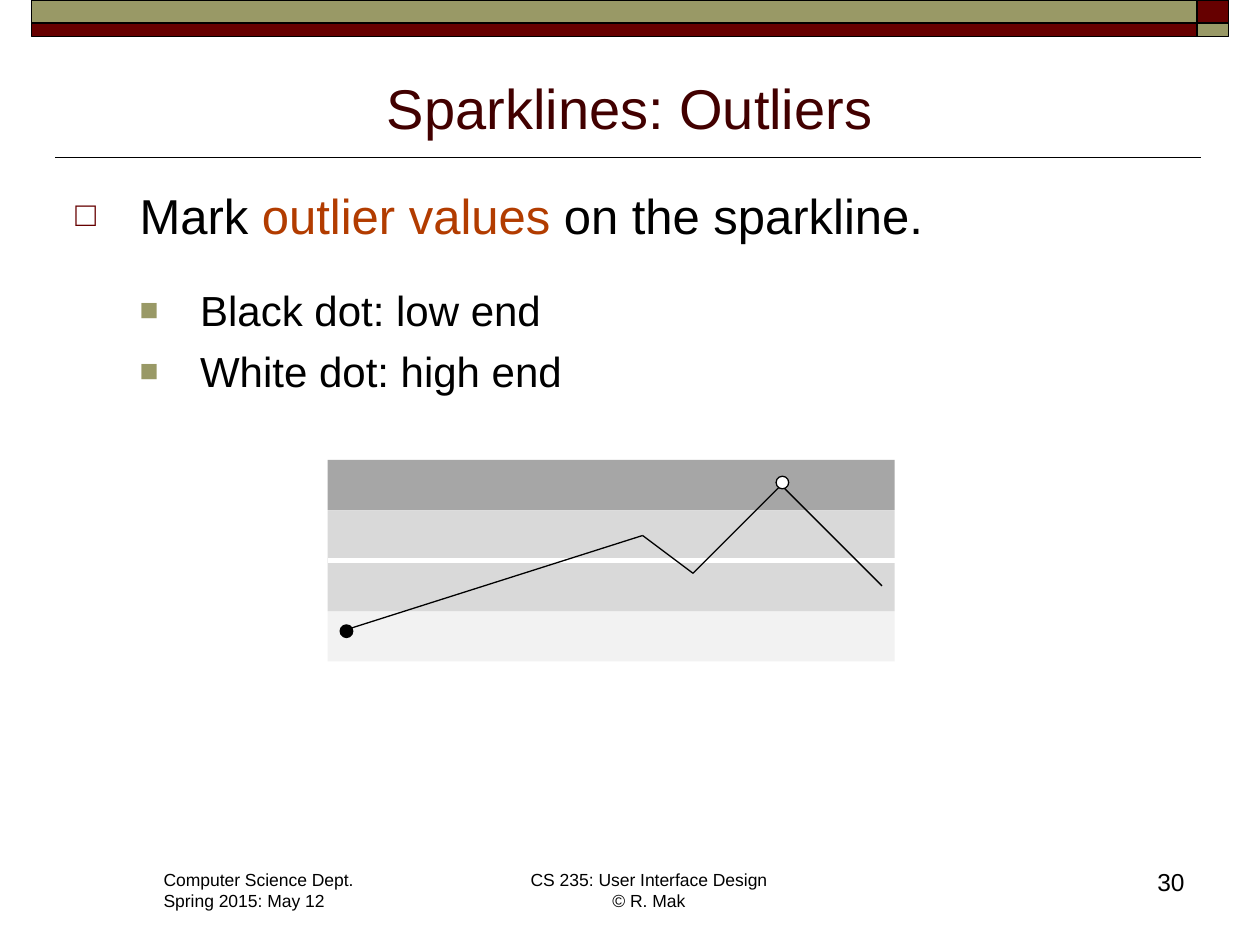
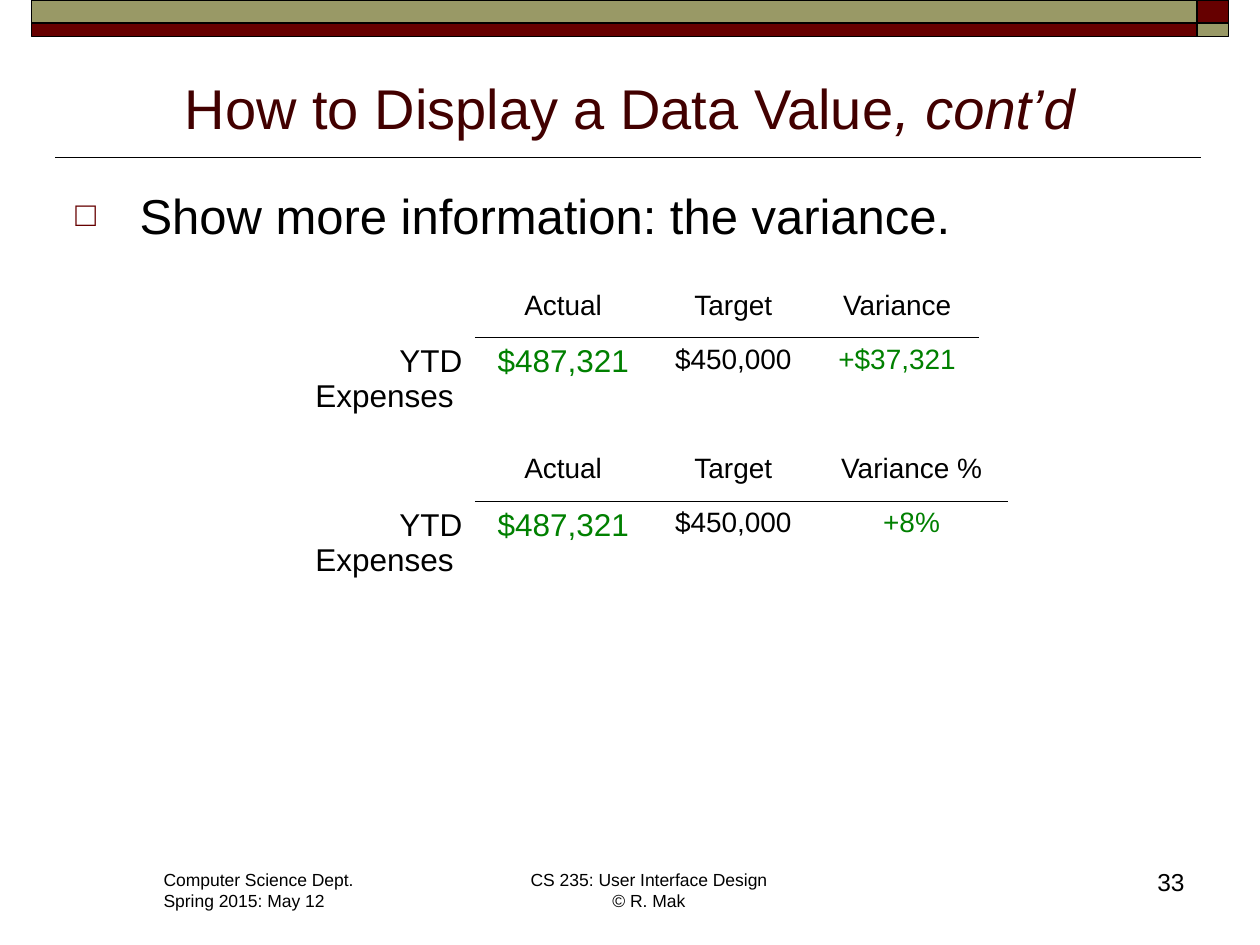
import pptx
import pptx.util
import pptx.dml.color
import pptx.enum.shapes
import pptx.enum.text
import pptx.oxml
import pptx.oxml.ns
import lxml.etree
import itertools

PX = 9144
COLORS = {
    "maroon": "660000", "olive": "999966", "title": "420000",
    "black": "000000", "white": "FFFFFF", "accent": "B23C00",
    "green": "008000", "low": "F2F2F2", "middle": "D9D9D9", "high": "A6A6A6",
}
ALIGN = pptx.enum.text.PP_ALIGN
SHAPE = pptx.enum.shapes.MSO_SHAPE
BULLETS = [("□", "maroon", 70, 51, 51), ("■", "olive", 75, 99, 48)]


def px(n):
    return pptx.util.Emu(n * PX)


def rgb(name):
    return pptx.dml.color.RGBColor.from_string(COLORS[name])


def add_xml(parent, tag, **attrs):
    el = lxml.etree.SubElement(parent, pptx.oxml.ns.qn(tag))
    for key, value in attrs.items():
        el.set(key, str(value))
    return el


class Deck:
    font = "Arial"

    def __init__(self):
        self.prs = pptx.Presentation()
        self.prs.slide_width, self.prs.slide_height = px(1000), px(750)
        self.s = None

    def style(self, p, size, color="black", align=ALIGN.LEFT):
        p.alignment = align
        p.font.name = self.font
        p.font.size = pptx.util.Pt(size)
        p.font.color.rgb = rgb(color)

    def slide(self, title, number):
        self.s = self.prs.slides.add_slide(self.prs.slide_layouts[5])
        self.line((953, 125), (44, 125), 1)
        for y, h, wide, corner in ((0, 18, "olive", "maroon"), (18, 11, "maroon", "olive")):
            self.shape(SHAPE.RECTANGLE, (25, y, 925, h), wide, 1)
            self.shape(SHAPE.RECTANGLE, (950, y, 25, h), corner, 1)
        self.title(title)
        self.text((120, 685, 173, 44), "Computer Science Dept.\nSpring 2015: May 12", 10, wrap=False)
        self.text((410, 685, 210, 44), "CS 235: User Interface Design\v© R. Mak", 10, ALIGN.CENTER, False)
        self.text((742, 683, 208, 50), str(number), 14, ALIGN.RIGHT)

    def title(self, runs):
        sp = self.s.shapes.title
        sp.left, sp.top, sp.width, sp.height = map(px, (50, 45, 900, 72))
        tf = sp.text_frame
        tf.auto_size = pptx.enum.text.MSO_AUTO_SIZE.NONE
        tf.vertical_anchor = pptx.enum.text.MSO_ANCHOR.BOTTOM
        p = tf.paragraphs[0]
        for text, italic in runs:
            r = p.add_run()
            r.text = text
            if italic:
                r.font.italic = True
        self.style(p, 32, "title", ALIGN.CENTER)

    def text(self, box, text, size, align=ALIGN.LEFT, wrap=True):
        tf = self.s.shapes.add_textbox(*map(px, box)).text_frame
        tf.word_wrap = wrap
        tf.text = text
        for p in tf.paragraphs:
            self.style(p, size, align=align)

    def bullets(self, box, items):
        tf = self.s.shapes.add_textbox(*map(px, box)).text_frame
        tf.word_wrap = True
        for i, (level, before, runs) in enumerate(items):
            p = tf.add_paragraph() if i else tf.paragraphs[0]
            p.level = level
            char, color, percent, margin, hang = BULLETS[level]
            pPr = p._p.get_or_add_pPr()
            pPr.set("marL", str(px(margin)))
            pPr.set("indent", str(px(-hang)))
            add_xml(add_xml(pPr, "a:buClr"), "a:srgbClr", val=COLORS[color])
            add_xml(pPr, "a:buSzPct", val=percent * 1000)
            add_xml(pPr, "a:buFont", typeface=self.font)
            add_xml(pPr, "a:buChar", char=char)
            p.space_before = pptx.util.Pt(before)
            for text, run_color in runs:
                r = p.add_run()
                r.text = text
                if run_color != "black":
                    r.font.color.rgb = rgb(run_color)
            self.style(p, 24 if level else 28)

    def shape(self, kind, box, fill, width=0):
        sp = self.s.shapes.add_shape(kind, *map(px, box))
        sp.shadow.inherit = False
        sp.fill.solid()
        sp.fill.fore_color.rgb = rgb(fill)
        if width:
            sp.line.color.rgb = rgb("black")
            sp.line.width = pptx.util.Pt(width)
        else:
            sp.line.fill.background()
        return sp

    def line(self, start, end, width, color="black"):
        kind = pptx.enum.shapes.MSO_CONNECTOR.STRAIGHT
        c = self.s.shapes.add_connector(kind, *map(px, start + end))
        c.line.color.rgb = rgb(color)
        c.line.width = pptx.util.Pt(width)
        add_xml(c._element.spPr, "a:effectLst")
        return c

    def borders(self, cell, ruled):
        tcPr = cell._tc.get_or_add_tcPr()
        for side in ("a:lnL", "a:lnR", "a:lnT", "a:lnB"):
            ln = add_xml(tcPr, side, w=12700)
            if side == ruled:
                add_xml(add_xml(ln, "a:solidFill"), "a:srgbClr", val=COLORS["black"])
            else:
                add_xml(ln, "a:noFill")

    def table(self, left, top, widths, row_height, rows):
        box = (left, top, sum(widths), row_height * len(rows))
        table = self.s.shapes.add_table(len(rows), len(widths), *map(px, box)).table
        table.first_row = table.horz_banding = False
        for column, width in zip(table.columns, widths):
            column.width = px(width)
        for i, row in enumerate(rows):
            for j, (text, size, color) in enumerate(row):
                cell = table.cell(i, j)
                cell.text = text
                align = ALIGN.CENTER if j else ALIGN.RIGHT
                self.style(cell.text_frame.paragraphs[0], size, color, align)
                self.borders(cell, ("a:lnT" if i else "a:lnB") if j else None)
                cell.fill.background()


def outliers_slide(deck):
    deck.slide([("Sparklines: Outliers", False)], 30)
    deck.bullets((50, 142, 900, 183), [
        (0, 4, [("Mark ", "black"), ("outlier values ", "accent"), ("on the sparkline.", "black")]),
        (1, 23, [("Black dot: low end", "black")]),
        (1, 6, [("White dot: high end", "black")]),
    ])
    bands = {}
    for name, top, height in (("low", 485, 40), ("middle", 405, 80), ("high", 365, 40)):
        bands[name] = deck.shape(SHAPE.RECTANGLE, (260, top, 450, height), name)
    midline = deck.line((260, 445), (710, 445), 3, "white")
    midline.begin_connect(bands["middle"], 1)
    midline.end_connect(bands["middle"], 3)
    points = [(274, 500), (510, 425), (550, 455), (620, 385), (700, 465)]
    for start, end in itertools.pairwise(points):
        deck.line(start, end, 0.75)
    for x, y, color in ((270, 496, "black"), (616, 378, "white")):
        deck.shape(SHAPE.OVAL, (x, y, 10, 10), color, 0.75)


def variance_slide(deck):
    deck.slide([("How to Display a Data Value", False), (", cont’d", True)], 33)
    deck.bullets((50, 142, 900, 63), [
        (0, 4, [("Show more information: the variance.", "black")]),
    ])
    for top, last_width, heading, variance in (
        (225, 130, "Variance", "+$37,321"),
        (355, 153, "Variance %", "+8%"),
    ):
        header = [(text, 16, "black") for text in ("", "Actual", "Target", heading)]
        values = [
            ("YTD Expenses ", 18, "black"), ("$487,321", 18, "green"),
            ("$450,000", 16, "black"), (variance, 16, "green"),
        ]
        deck.table(191, top, [186, 140, 130, last_width], 43, [header, values])


def main():
    deck = Deck()
    outliers_slide(deck)
    variance_slide(deck)
    deck.prs.save("out.pptx")


if __name__ == "__main__":
    main()
